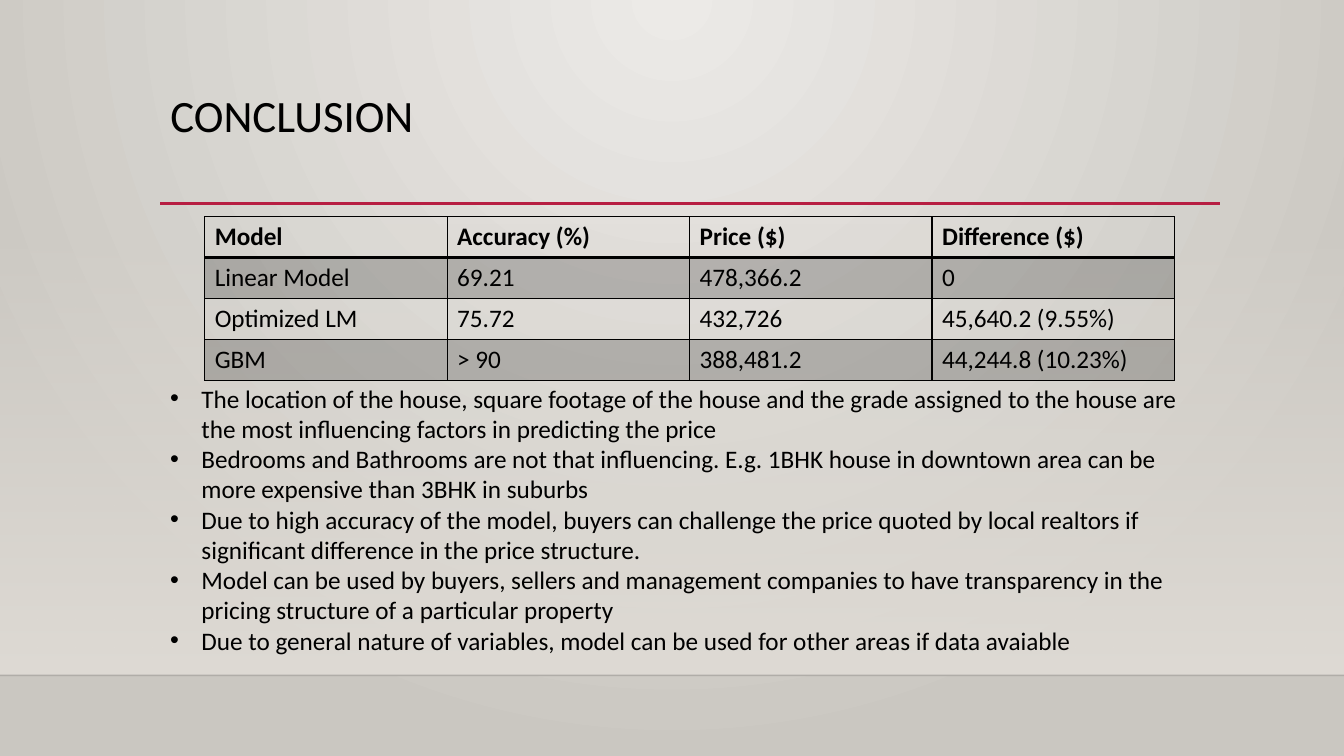
from dataclasses import dataclass

from lxml.etree import SubElement
from pptx import Presentation
from pptx.dml.color import RGBColor as RGB
from pptx.enum.shapes import MSO_CONNECTOR as CONNECTOR, MSO_SHAPE as SHAPE
from pptx.enum.text import MSO_ANCHOR as ANCHOR, MSO_AUTO_SIZE as AUTO_SIZE, PP_ALIGN as ALIGN
from pptx.oxml import parse_xml
from pptx.oxml.ns import nsdecls, qn
from pptx.util import Inches, Pt


@dataclass(frozen=True)
class Theme:
    font: str = "Calibri"
    title: int = 32
    body: int = 18
    ink: str = "000000"
    accent: str = "B71E42"
    glow: str = "ECEAE7"
    edge: str = "CAC7C1"
    wall: str = "DFDBD5"


theme = Theme()


def style(paragraph, size, bold=False):
    font = paragraph.font
    font.name, font.size, font.bold = theme.font, Pt(size), bold
    font.color.rgb = RGB.from_string(theme.ink)


def set_alpha(parent, percent):
    color = next(parent.iter(qn("a:srgbClr")))
    SubElement(color, qn("a:alpha"), val=str(percent * 1000))


prs = Presentation()
prs.slide_width, prs.slide_height = Inches(13.33), Inches(7.5)
slide = prs.slides.add_slide(prs.slide_layouts[5])
shapes = slide.shapes

backdrop = slide.background.fill
backdrop.gradient()
for stop, color in zip(backdrop.gradient_stops, (theme.glow, theme.edge)):
    stop.color.rgb = RGB.from_string(color)
linear = next(slide.element.iter(qn("a:lin")))
linear.getparent().replace(linear, parse_xml(
    f'<a:path {nsdecls("a")} path="circle">'
    '<a:fillToRect l="43000" t="0" r="43000" b="100000"/></a:path>'))

wall = shapes.add_shape(SHAPE.RECTANGLE, 0, Inches(2.21), Inches(13.33), Inches(4.49))
wall.shadow.inherit = False
wall.line.fill.background()
wall.fill.gradient()
wall.fill.gradient_angle = 270
for stop in wall.fill.gradient_stops:
    stop.color.rgb = RGB.from_string(theme.wall)
set_alpha(wall.element.spPr, 0)

for left, right, y, color, width, alpha in (
    (0, 13.33, 6.7, theme.ink, 1, 20),
    (1.59, 12.1, 2.02, theme.accent, 2.5, 100),
):
    rule = shapes.add_connector(CONNECTOR.STRAIGHT, Inches(left), Inches(y), Inches(right), Inches(y))
    rule.line.color.rgb = RGB.from_string(color)
    rule.line.width = Pt(width)
    set_alpha(rule.element.spPr, alpha)
    SubElement(rule.element.spPr, qn("a:effectLst"))

title = shapes.title
title.left, title.top, title.width, title.height = map(Inches, (1.59, 0.88, 10.5, 1.15))
title.text_frame.text = "CONCLUSION"
title.text_frame.vertical_anchor = ANCHOR.TOP
heading = title.text_frame.paragraphs[0]
heading.alignment = ALIGN.LEFT
heading.line_spacing = 0.9
style(heading, theme.title)

results = (
    ("Model", "Accuracy (%)", "Price ($)", "Difference ($)"),
    ("Linear Model", "69.21", "478,366.2", "0"),
    ("Optimized LM", "75.72", "432,726", "45,640.2 (9.55%)"),
    ("GBM", "> 90", "388,481.2", "44,244.8 (10.23%)"),
)
comparison = shapes.add_table(4, 4, Inches(2.03), Inches(2.15), Inches(9.62), Inches(1.6)).table
for r, result in enumerate(results):
    for c, value in enumerate(result):
        cell = comparison.cell(r, c)
        cell.text = value
        style(cell.text_frame.paragraphs[0], theme.body, bold=r == 0)
        properties = cell._tc.get_or_add_tcPr()
        for side in "LRTB":
            width = 2 if (r, side) in ((0, "B"), (1, "T")) else 1
            properties.append(parse_xml(
                f'<a:ln{side} {nsdecls("a")} w="{Pt(width)}"><a:solidFill>'
                f'<a:srgbClr val="{theme.ink}"/></a:solidFill></a:ln{side}>'))
        if r % 2:
            cell.fill.solid()
            cell.fill.fore_color.rgb = RGB.from_string(theme.ink)
            set_alpha(properties.find(qn("a:solidFill")), 20)
        else:
            cell.fill.background()

findings = (
    "The location of the house, square footage of the house and the grade assigned to the house are the most influencing factors in predicting the price",
    "Bedrooms and Bathrooms are not that influencing. E.g. 1BHK house in downtown area can be more expensive than 3BHK in suburbs",
    "Due to high accuracy of the model, buyers can challenge the price quoted by local realtors if significant difference in the price structure.",
    "Model can be used by buyers, sellers and management companies to have transparency in the pricing structure of a particular property",
    "Due to general nature of variables, model can be used for other areas if data avaiable",
)
conclusions = shapes.add_textbox(Inches(1.59), Inches(3.75), Inches(10.5), Inches(2.83)).text_frame
conclusions.word_wrap = True
conclusions.auto_size = AUTO_SIZE.SHAPE_TO_FIT_TEXT
conclusions.text = "\n".join(findings)
for finding in conclusions.paragraphs:
    style(finding, theme.body)
    layout = finding._p.get_or_add_pPr()
    layout.set("marL", str(Inches(0.31)))
    layout.set("indent", str(Inches(-0.31)))
    bullet_font = parse_xml(f'<a:buFont {nsdecls("a")} typeface="Arial"/>')
    bullet = parse_xml(f'<a:buChar {nsdecls("a")} char="•"/>')
    layout.insert(0, bullet_font)
    layout.insert(1, bullet)

prs.save("out.pptx")
